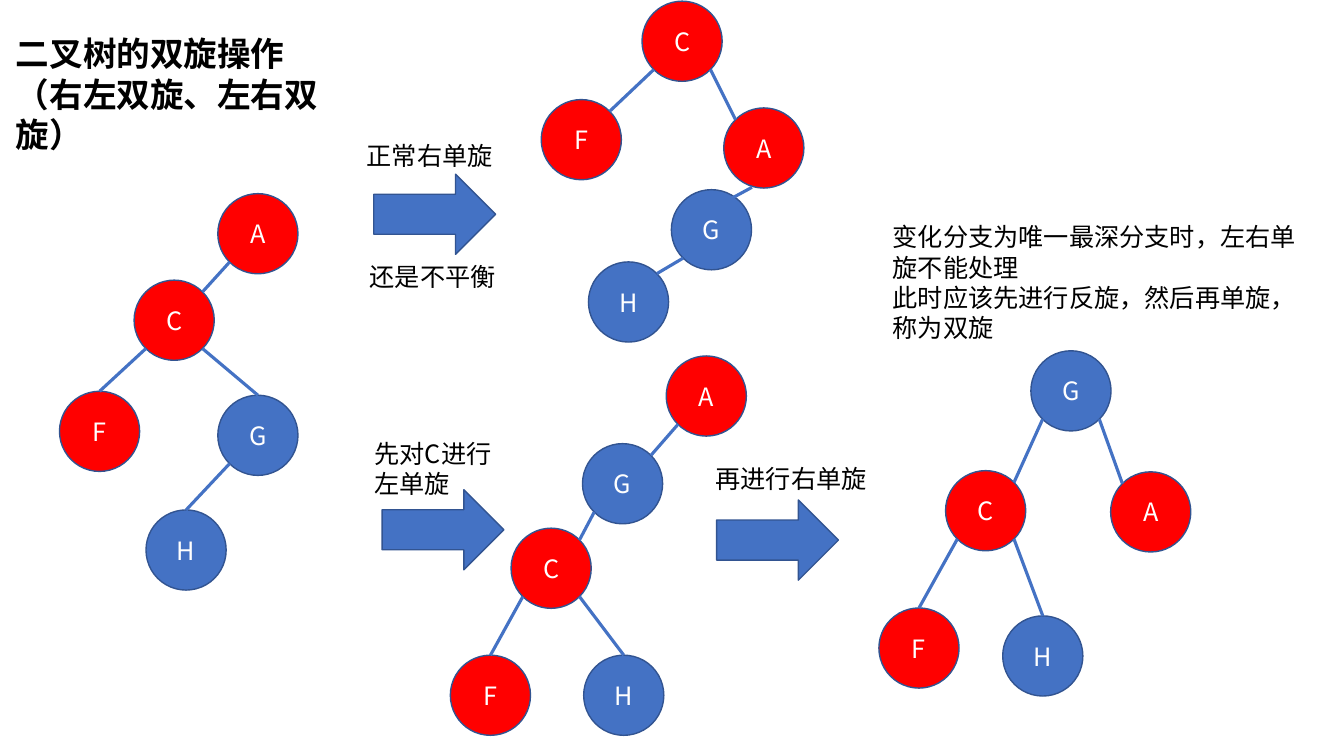
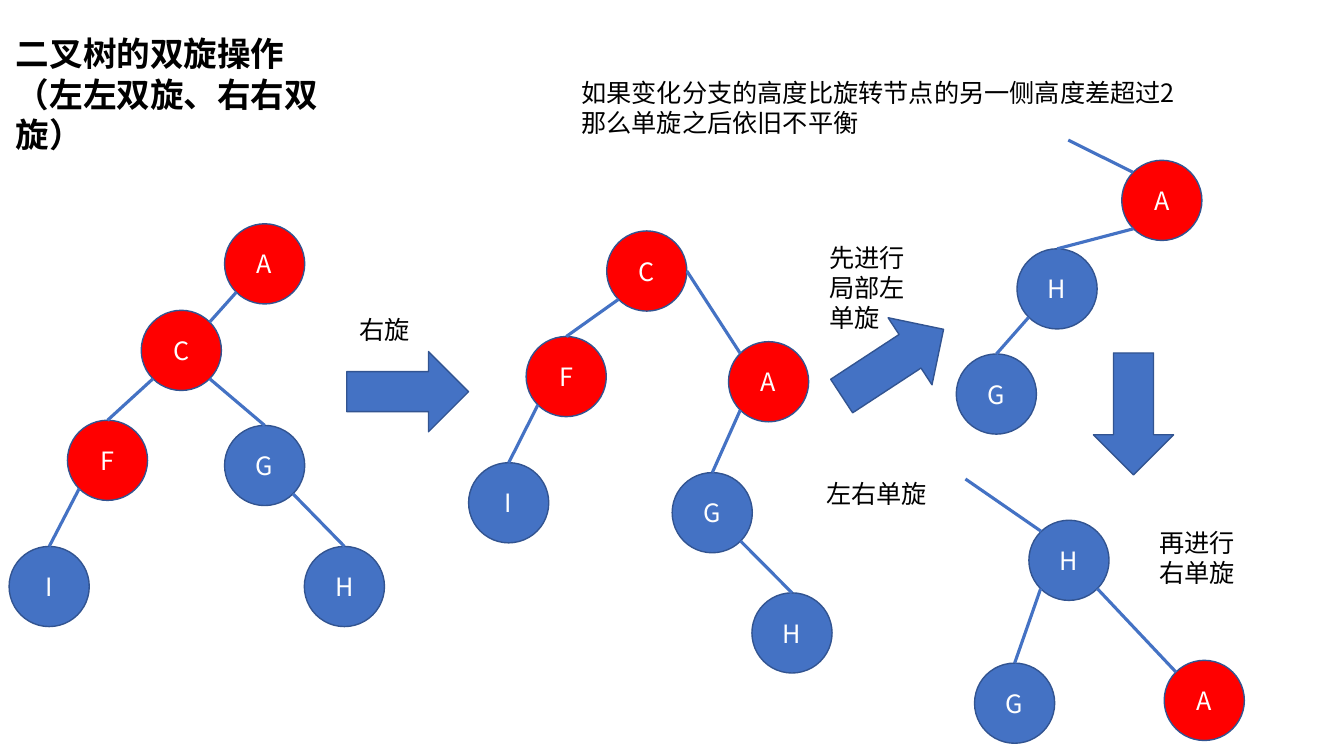
from dataclasses import dataclass
from math import cos, radians, sin

from lxml.etree import SubElement
from pptx import Presentation
from pptx.dml.color import RGBColor
from pptx.enum.shapes import MSO_CONNECTOR, MSO_SHAPE
from pptx.enum.text import MSO_ANCHOR, MSO_AUTO_SIZE, PP_ALIGN
from pptx.oxml.ns import qn
from pptx.util import Cm, Pt


@dataclass(frozen=True)
class Theme:
    font: str = "Noto Sans CJK SC"
    black: RGBColor = RGBColor(0x00, 0x00, 0x00)
    white: RGBColor = RGBColor(0xFF, 0xFF, 0xFF)
    red: RGBColor = RGBColor(0xFF, 0x00, 0x00)
    blue: RGBColor = RGBColor(0x44, 0x72, 0xC4)
    outline: RGBColor = RGBColor(0x32, 0x54, 0x91)
    title_size: Pt = Pt(24)
    body_size: Pt = Pt(18)
    outline_width: Pt = Pt(1)
    edge_width: Pt = Pt(2.25)


theme = Theme()
TITLE_BOX = (0.15, 0.71, 9.14, 2.31)
NODE_SIZE = 2.02
ARROW_SIZE = (3.07, 2.02)
RED_NODES = "ACF"

# Each edge names a parent and a child, each followed by its connection site,
# counted counter-clockwise from the top of the circle in steps of 45 degrees.
slides = [
    {
        "title": ["二叉树的双旋操作", "（右左双旋、左右双旋）"],
        "trees": [
            ({"A": (5.49, 4.88), "C": (3.38, 7.06), "F": (1.5, 9.86),
              "G": (5.49, 9.96), "H": (3.68, 12.85)},
             "A3C7 C3F0 C5G0 G3H0"),
            ({"C": (16.18, 0.03), "F": (13.64, 2.51), "A": (18.24, 2.72),
              "G": (16.92, 4.78), "H": (14.83, 6.6)},
             "C3F7 C5A1 G3H7"),
            ({"A": (16.79, 8.97), "G": (14.68, 11.18), "C": (12.88, 13.31),
              "F": (11.35, 16.51), "H": (14.71, 16.51)},
             "A3G7 G3C7 C3F0 C5H0"),
            ({"G": (25.98, 8.84), "C": (23.83, 11.86), "A": (27.99, 11.89),
              "F": (22.15, 15.32), "H": (25.27, 15.52)},
             "G3C7 G5A1 C3F0 C5H0"),
        ],
        "loose_edges": [(18.95, 4.72, 18.34, 5.05)],
        "arrows": [(9.42, 4.39, 0), (9.63, 12.34, 0), (18.06, 12.6, 0)],
        "notes": [
            ((8.99, 3.4, 3.73, 1.02), ["正常右单旋"]),
            ((9.07, 6.45, 3.73, 1.02), ["还是不平衡"]),
            ((9.19, 10.92, 3.73, 1.8), ["先对C进行左单旋"]),
            ((17.78, 11.56, 16.99, 1.02), ["再进行右单旋"]),
            ((22.25, 5.46, 11.05, 3.33),
             ["变化分支为唯一最深分支时，左右单旋不能处理",
              "此时应该先进行反旋，然后再单旋，称为双旋"]),
        ],
    },
    {
        "title": ["二叉树的双旋操作", "（左左双旋、右右双旋）"],
        "trees": [
            ({"A": (5.66, 5.64), "C": (3.56, 7.82), "F": (1.7, 10.59),
              "G": (5.66, 10.72), "I": (0.23, 13.77), "H": (7.67, 13.77)},
             "A3C7 C3F0 C5G0 F3I0 G5H0"),
            ({"C": (15.29, 5.82), "F": (13.26, 8.48), "A": (18.36, 8.61),
              "I": (11.81, 11.66), "G": (16.94, 11.91), "H": (18.95, 14.94)},
             "C3F0 C6A1 F3I0 A3G0 G5H0"),
            ({"A": (28.27, 4.04), "H": (25.63, 6.27), "G": (24.1, 8.92)},
             "A3H0 H3G0"),
            ({"H": (25.93, 13.11), "G": (24.56, 16.71), "A": (29.34, 16.64)},
             "H3G0 H5A1"),
        ],
        "loose_edges": [(26.92, 3.53, 28.55, 4.34), (24.33, 12.07, 26.24, 13.39)],
        "arrows": [(8.74, 8.86, 0), (20.96, 8.13, 326.8), (27.03, 9.42, 90)],
        "notes": [
            ((14.4, 1.83, 15.88, 1.8),
             ["如果变化分支的高度比旋转节点的另一侧高度差超过2",
              "那么单旋之后依旧不平衡"]),
            ((8.81, 7.8, 2.49, 1.02), ["右旋"]),
            ((20.65, 5.97, 2.57, 2.57), ["先进行局部左单旋"]),
            ((28.96, 13.16, 2.57, 1.8), ["再进行右单旋"]),
            ((20.57, 11.94, 3.38, 1.02), ["左右单旋"]),
        ],
    },
]


def write(frame, lines, size, color, bold=False, align=PP_ALIGN.LEFT):
    frame.word_wrap = True
    for index, line in enumerate(lines):
        paragraph = frame.add_paragraph() if index else frame.paragraphs[0]
        paragraph.text = line
        paragraph.alignment = align
        font = paragraph.font
        font.name = theme.font
        font.size = size
        font.bold = bold
        font.color.rgb = color
        SubElement(paragraph._p.pPr.defRPr, qn("a:ea"), typeface=theme.font)


def style(shape, fill):
    shape.shadow.inherit = False
    shape.fill.solid()
    shape.fill.fore_color.rgb = fill
    shape.line.color.rgb = theme.outline
    shape.line.width = theme.outline_width


deck = Presentation()
deck.slide_width, deck.slide_height = Cm(33.87), Cm(19.05)

for content in slides:
    slide = deck.slides.add_slide(deck.slide_layouts[6])
    shapes = slide.shapes
    edges = [(points, ()) for points in content["loose_edges"]]

    for nodes, links in content["trees"]:
        circles = {}
        for letter, (left, top) in nodes.items():
            circle = shapes.add_shape(MSO_SHAPE.OVAL, Cm(left), Cm(top),
                                      Cm(NODE_SIZE), Cm(NODE_SIZE))
            style(circle, theme.red if letter in RED_NODES else theme.blue)
            circle.text_frame.vertical_anchor = MSO_ANCHOR.MIDDLE
            write(circle.text_frame, [letter], theme.body_size, theme.white,
                  align=PP_ALIGN.CENTER)
            circles[letter] = circle
        for link in links.split():
            points, ends = [], []
            for letter, site in (link[:2], link[2:]):
                angle = radians(90 + 45 * int(site))
                left, top = nodes[letter]
                points += [left + NODE_SIZE / 2 * (1 + cos(angle)),
                           top + NODE_SIZE / 2 * (1 - sin(angle))]
                ends.append((circles[letter].shape_id, site))
            edges.append((points, ends))

    for points, ends in edges:
        edge = shapes.add_connector(MSO_CONNECTOR.STRAIGHT, *map(Cm, points))
        edge.line.color.rgb = theme.blue
        edge.line.width = theme.edge_width
        SubElement(edge._element.spPr, qn("a:effectLst"))
        joints = edge._element.nvCxnSpPr.cNvCxnSpPr
        for tag, (node_id, site) in zip(("a:stCxn", "a:endCxn"), ends):
            SubElement(joints, qn(tag), id=str(node_id), idx=site)

    for left, top, turn in content["arrows"]:
        arrow = shapes.add_shape(MSO_SHAPE.RIGHT_ARROW, Cm(left), Cm(top),
                                 *map(Cm, ARROW_SIZE))
        style(arrow, theme.blue)
        arrow.rotation = turn

    passages = [(TITLE_BOX, content["title"], theme.title_size, True)]
    passages += [(box, lines, theme.body_size, False) for box, lines in content["notes"]]
    for box, lines, size, bold in passages:
        frame = shapes.add_textbox(*map(Cm, box)).text_frame
        write(frame, lines, size, theme.black, bold)
        frame.auto_size = MSO_AUTO_SIZE.SHAPE_TO_FIT_TEXT

deck.save("out.pptx")
